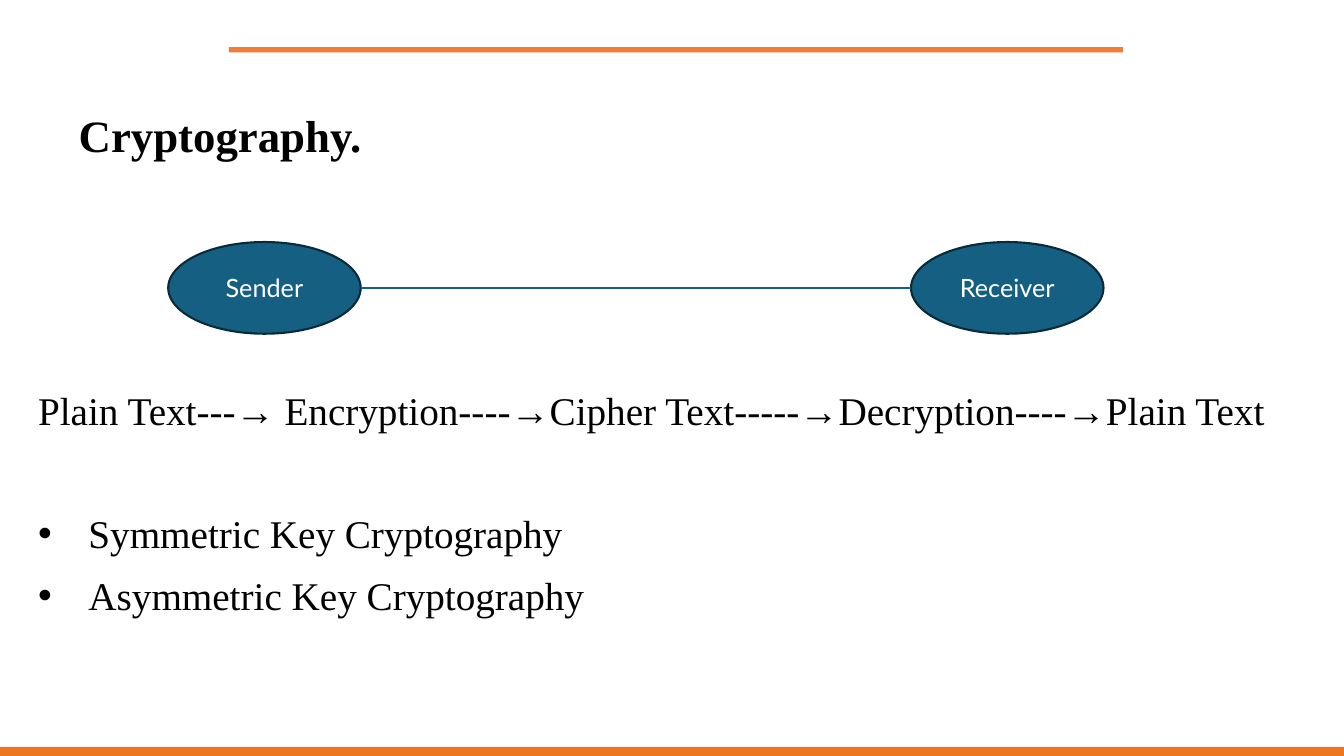
import pptx
import pptx.util
import pptx.dml.color
import pptx.enum.shapes
import pptx.enum.text
import lxml.etree

Cm, Pt = pptx.util.Cm, pptx.util.Pt
SHAPE = pptx.enum.shapes.MSO_SHAPE
ALIGN = pptx.enum.text.PP_ALIGN
ANCHOR = pptx.enum.text.MSO_ANCHOR
COLORS = {"rule": "F47D35", "footer": "ED771F", "node": "156082",
          "node_line": "092A39", "text": "000000", "node_text": "FFFFFF"}
SERIF = "Times New Roman"


def color(name):
    return pptx.dml.color.RGBColor.from_string(COLORS[name])


def write(paragraph, text, size=28, font=SERIF, fill="text", bold=False,
          align=ALIGN.LEFT, spacing=1.07, before=0, after=8, bullet=False):
    props = paragraph._p.get_or_add_pPr()
    if bullet:
        props.set("marL", str(Cm(1.27)))
        props.set("indent", str(-Cm(1.27)))
        for tag, attribute, value in (("buFont", "typeface", "Arial"), ("buChar", "char", "•")):
            mark = lxml.etree.SubElement(props, pptx.oxml.ns.qn("a:" + tag))
            mark.set(attribute, value)
    paragraph.alignment = align
    paragraph.line_spacing = spacing
    paragraph.space_before, paragraph.space_after = Pt(before), Pt(after)
    run = paragraph.add_run()
    run.text = text
    run.font.size, run.font.name, run.font.bold = Pt(size), font, bold
    run.font.color.rgb = color(fill)


deck = pptx.Presentation()
deck.slide_width, deck.slide_height = Cm(33.87), Cm(19.05)
slide = deck.slides.add_slide(deck.slide_layouts[5])

# Orange bars at the top and bottom
for name, left, top, width, height in (("rule", 5.77, 1.19, 22.53, 0.13),
                                       ("footer", 0, 18.82, 33.87, 0.23)):
    bar = slide.shapes.add_shape(SHAPE.RECTANGLE, Cm(left), Cm(top), Cm(width), Cm(height))
    bar.shadow.inherit = False
    bar.fill.solid()
    bar.fill.fore_color.rgb = color(name)
    bar.line.fill.background()

# Title
title = slide.shapes.title
title.left, title.top, title.width, title.height = Cm(1.73), Cm(1.75), Cm(22.86), Cm(3.18)
title.text_frame.vertical_anchor = ANCHOR.MIDDLE
write(title.text_frame.paragraphs[0], "Cryptography.", size=32, bold=True)

# Message flow and the two kinds of cryptography
flow = slide.shapes.add_textbox(Cm(0.71), Cm(9.53), Cm(33), Cm(6.6)).text_frame
flow.word_wrap = True
write(flow.paragraphs[0],
      "Plain Text---→ Encryption----→Cipher Text-----→Decryption----→Plain Text",
      align=ALIGN.JUSTIFY)
for kind, gap in (("Symmetric", 44), ("Asymmetric", 0)):
    write(flow.add_paragraph(), f"{kind} Key Cryptography",
          align=ALIGN.JUSTIFY, before=gap, bullet=True)

# Sender and receiver
parties = []
for party, left in (("Sender", 4.24), ("Receiver", 22.96)):
    node = slide.shapes.add_shape(SHAPE.OVAL, Cm(left), Cm(6.1), Cm(4.85), Cm(2.31))
    node.shadow.inherit = False
    node.fill.solid()
    node.fill.fore_color.rgb = color("node")
    node.line.color.rgb = color("node_line")
    node.line.width = Pt(1.5)
    node.text_frame.vertical_anchor = ANCHOR.MIDDLE
    write(node.text_frame.paragraphs[0], party, size=18, font="Lato", fill="node_text",
          align=ALIGN.CENTER, spacing=1.0, after=0)
    parties.append(node)

# Channel between them
sender, receiver = parties
middle = sender.top + sender.height // 2
channel = slide.shapes.add_connector(pptx.enum.shapes.MSO_CONNECTOR.STRAIGHT,
                                     sender.left + sender.width, middle, receiver.left, middle)
channel.line.color.rgb = color("node")
channel.line.width = Pt(1.5)
lxml.etree.SubElement(channel._element.spPr, pptx.oxml.ns.qn("a:effectLst"))

deck.save("out.pptx")
